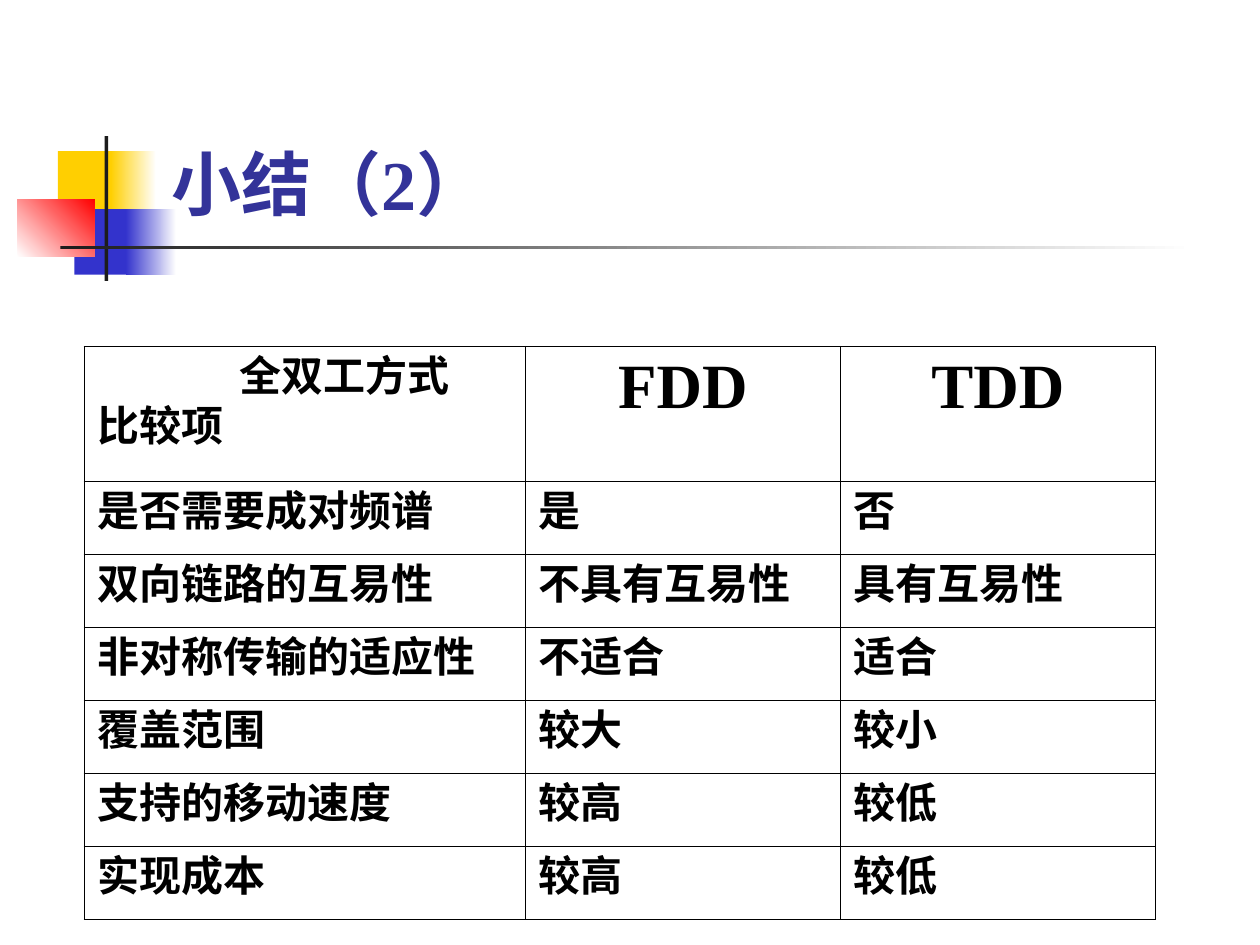
from lxml import etree
from pptx import Presentation
from pptx import util as u
from pptx.dml.color import RGBColor
from pptx.enum import shapes, text
from pptx.oxml import ns

Inches, Pt = u.Inches, u.Pt
COLORS = {
    "yellow": "FFCF01", "blue": "3333CC", "red": "FF0000", "dark": "1C1C1C",
    "white": "FFFFFF", "title": "333399", "black": "000000",
}


def rgb(name):
    return RGBColor.from_string(COLORS[name])


def format_run(r, size, color, latin="Roboto"):
    r.font.size, r.font.bold, r.font.name = Pt(size), True, latin
    r.font.color.rgb = rgb(color)
    ea = etree.SubElement(r._r.get_or_add_rPr(), ns.qn("a:ea"))
    ea.set("typeface", "Roboto")


prs = Presentation()
prs.slide_width, prs.slide_height = Inches(10), Inches(7.5)
slide = prs.slides.add_slide(prs.slide_layouts[5])

# Corner decoration: box, start colour, end colour (None for solid), angle
decoration = [
    ((0.46, 1.2, 0.48, 0.52), "yellow", None, 0),
    ((0.88, 1.2, 0.36, 0.52), "yellow", "white", 0),
    ((0.59, 1.66, 0.46, 0.52), "blue", None, 0),
    ((1, 1.66, 0.4, 0.52), "blue", "white", 0),
    ((0.14, 1.58, 0.61, 0.46), "white", "red", 45),
    ((0.83, 1.08, 0.03, 1.15), "dark", None, 0),
    ((0.48, 1.95, 9, 0.03), "dark", "white", 0),
]
for box, start, end, angle in decoration:
    s = slide.shapes.add_shape(shapes.MSO_SHAPE.RECTANGLE, *map(Inches, box))
    s.shadow.inherit = False
    s.line.fill.background()
    if end is None:
        s.fill.solid()
        s.fill.fore_color.rgb = rgb(start)
    else:
        s.fill.gradient()
        s.fill.gradient_angle = angle
        for stop, color, position in zip(s.fill.gradient_stops, (start, end), (0, 1)):
            stop.color.rgb = rgb(color)
            stop.position = position

# Title
title = slide.shapes.title
title.left, title.top = Inches(1.26), Inches(0.23)
title.width, title.height = Inches(8.52), Inches(1.6)
tf = title.text_frame
tf.vertical_anchor = text.MSO_ANCHOR.BOTTOM
p = tf.paragraphs[0]
p.alignment = text.PP_ALIGN.LEFT
for words, latin in (("小结", "Roboto"), ("（2）", "Times New Roman")):
    r = p.add_run()
    r.text = words
    format_run(r, 40, "title", latin)

# Comparison table
rows = [
    ("全双工方式\n比较项", "FDD", "TDD"),
    ("是否需要成对频谱", "是", "否"),
    ("双向链路的互易性", "不具有互易性", "具有互易性"),
    ("非对称传输的适应性", "不适合", "适合"),
    ("覆盖范围", "较大", "较小"),
    ("支持的移动速度", "较高", "较低"),
    ("实现成本", "较高", "较低"),
]
table = slide.shapes.add_table(
    len(rows), 3, Inches(0.67), Inches(2.75), Inches(8.5), Inches(4.55)).table
table.first_row = table.horz_banding = False
for column, width in zip(table.columns, (3.5, 2.5, 2.5)):
    column.width = Inches(width)

for i, values in enumerate(rows):
    table.rows[i].height = Inches(0.58 if i else 1.07)
    for j, value in enumerate(values):
        cell = table.cell(i, j)
        cell.text_frame.text = value
        heading = i == 0 and j > 0
        for p in cell.text_frame.paragraphs:
            p.alignment = text.PP_ALIGN.CENTER if heading else text.PP_ALIGN.LEFT
            if heading:
                format_run(p.runs[0], 36, "black", "Times New Roman")
            else:
                format_run(p.runs[0], 24, "black")

        # Borders come before the fill in the cell properties
        tcPr = cell._tc.get_or_add_tcPr()
        for side in ("lnL", "lnR", "lnT", "lnB"):
            ln = etree.SubElement(tcPr, ns.qn(f"a:{side}"), w=str(Pt(1)))
            fill = etree.SubElement(ln, ns.qn("a:solidFill"))
            etree.SubElement(fill, ns.qn("a:srgbClr"), val=COLORS["black"])
        cell.fill.background()

# Indent the column label in the split corner cell
corner = table.cell(0, 0).text_frame.paragraphs[0]
corner._p.get_or_add_pPr().set("marL", str(Inches(1.13)))

prs.save("out.pptx")
